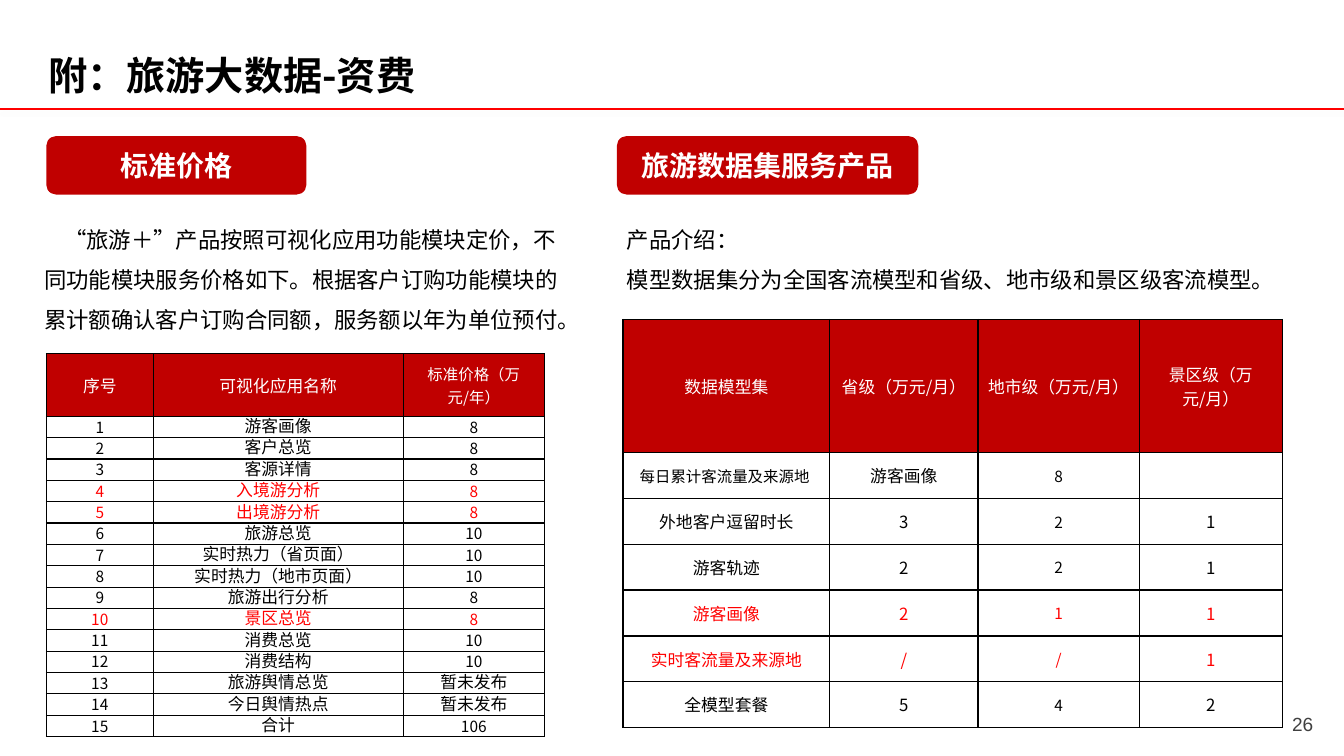
from lxml import etree
from pptx import Presentation
from pptx.dml.color import RGBColor
from pptx.enum.shapes import MSO_CONNECTOR, MSO_SHAPE
from pptx.enum.text import MSO_ANCHOR, MSO_AUTO_SIZE, PP_ALIGN
from pptx.oxml.ns import qn
from pptx.util import Inches, Pt

ROUNDED = MSO_SHAPE.ROUNDED_RECTANGLE
STRAIGHT = MSO_CONNECTOR.STRAIGHT
MIDDLE, TOP = MSO_ANCHOR.MIDDLE, MSO_ANCHOR.TOP
GROW = MSO_AUTO_SIZE.SHAPE_TO_FIT_TEXT
LEFT, CENTER = PP_ALIGN.LEFT, PP_ALIGN.CENTER

WIDTH, HEIGHT = 13.33, 7.5
FONT = "Noto Sans CJK SC"
COLORS = {"ink": "000000", "white": "FFFFFF", "brand": "C00000",
          "accent": "FF0000", "page": "404040"}

PRICE_HEAD = ["序号", "可视化应用名称", "标准价格（万元/年）"]
MODULES = [
    ("游客画像", "8"), ("客户总览", "8"), ("客源详情", "8"),
    ("入境游分析", "8"), ("出境游分析", "8"), ("旅游总览", "10"),
    ("实时热力（省页面）", "10"), ("实时热力（地市页面）", "10"),
    ("旅游出行分析", "8"), ("景区总览", "8"), ("消费总览", "10"),
    ("消费结构", "10"), ("旅游舆情总览", "暂未发布"),
    ("今日舆情热点", "暂未发布"), ("合计", "106"),
]
DATASETS = [
    ["数据模型集", "省级（万元/月）", "地市级（万元/月）", "景区级（万元/月）"],
    ["每日累计客流量及来源地 ", "游客画像", "8", ""],
    ["外地客户逗留时长", "3", "2", "1"],
    ["游客轨迹", "2", "2", "1"],
    ["游客画像", "2", "1", "1"],
    ["实时客流量及来源地", "/", "/", "1"],
    ["全模型套餐", "5", "4", "2"],
]


def col(n):
    return Inches(WIDTH * n / 100)


def row(n):
    return Inches(HEIGHT * n / 100)


def area(x, y, w, h):
    return col(x), row(y), col(w), row(h)


def rgb(name):
    return RGBColor.from_string(COLORS[name])


def write(tf, text, size=16, color="ink", bold=False, font=FONT, align=LEFT,
          spacing=None, indent=0):
    tf.word_wrap = True
    for i, line in enumerate(text.split("\n")):
        p = tf.add_paragraph() if i else tf.paragraphs[0]
        p.alignment = align
        if spacing:
            p.line_spacing = spacing
        if indent:
            p._p.get_or_add_pPr().set("indent", str(Inches(indent)))
        r = p.add_run()
        r.text = line
        r.font.name, r.font.size, r.font.bold = font, Pt(size), bold
        r.font.color.rgb = rgb(color)
        etree.SubElement(r._r.get_or_add_rPr(), qn("a:ea"), typeface=font)


def add_text(s, box, text, inset=None, grow=True, anchor=TOP, **fmt):
    tf = s.shapes.add_textbox(*box).text_frame
    write(tf, text, **fmt)
    tf.vertical_anchor = anchor
    if grow:
        tf.auto_size = GROW
    if inset is not None:
        tf.margin_left = tf.margin_right = Inches(inset)
        tf.margin_top = tf.margin_bottom = Inches(inset / 2)


def add_badge(s, box, text):
    sp = s.shapes.add_shape(ROUNDED, *box)
    sp.shadow.inherit = False
    sp.fill.solid()
    sp.fill.fore_color.rgb = rgb("brand")
    sp.line.fill.background()
    sp.text_frame.vertical_anchor = MIDDLE
    write(sp.text_frame, text, size=20, color="white", bold=True, align=CENTER)


def add_rule(s, y):
    line = s.shapes.add_connector(STRAIGHT, 0, row(y), col(100), row(y))
    line.line.color.rgb = rgb("accent")
    line.line.width = Pt(1)
    effects = etree.SubElement(line._element.spPr, qn("a:effectLst"))
    shadow = etree.SubElement(effects, qn("a:outerShdw"), blurRad=str(Pt(3.1)),
                              dist=str(Pt(1.6)), dir="5400000", rotWithShape="0")
    tint = etree.SubElement(shadow, qn("a:srgbClr"), val=COLORS["ink"])
    etree.SubElement(tint, qn("a:alpha"), val="38000")


def add_borders(cell):
    tcPr = cell._tc.get_or_add_tcPr()
    for side in ("lnL", "lnR", "lnT", "lnB"):
        ln = etree.SubElement(tcPr, qn("a:" + side), w=str(Pt(1)))
        fill = etree.SubElement(ln, qn("a:solidFill"))
        etree.SubElement(fill, qn("a:srgbClr"), val=COLORS["ink"])


def add_grid(s, box, data, widths, head, sizes, special, red_rows, spacing=None):
    table = s.shapes.add_table(len(data), len(widths), *box).table
    table.first_row = table.horz_banding = False
    for column, share in zip(table.columns, widths):
        column.width = int(box[2] * share / sum(widths))
    body = (box[3] - head) // (len(data) - 1)
    for i, values in enumerate(data):
        table.rows[i].height = body if i else head
        color = "accent" if i in red_rows else "ink" if i else "white"
        for j, text in enumerate(values):
            cell = table.cell(i, j)
            cell.margin_left = cell.margin_right = Inches(0.09)
            cell.margin_top = cell.margin_bottom = 0
            cell.vertical_anchor = MIDDLE
            add_borders(cell)
            if i:
                cell.fill.background()
            else:
                cell.fill.solid()
                cell.fill.fore_color.rgb = rgb("brand")
            if text:
                write(cell.text_frame, text, size=special.get(text, sizes[j]),
                      color=color, align=CENTER, spacing=spacing if i else None)


def main():
    prs = Presentation()
    prs.slide_width, prs.slide_height = Inches(WIDTH), Inches(HEIGHT)
    s = prs.slides.add_slide(prs.slide_layouts[6])

    add_rule(s, 14.4)
    add_text(s, area(95.05, 92.93, 3.75, 5.6), "26", inset=0.08, grow=False,
             anchor=MIDDLE, size=13.6, color="page", font="Arial", align=CENTER)
    add_text(s, area(3.6, 5.2, 41.19, 7.87), "附：旅游大数据-资费", inset=0,
             size=28, bold=True, spacing=1.25)

    add_badge(s, area(3.45, 18, 19.35, 7.73), "标准价格")
    add_text(s, area(2.55, 27.47, 40.66, 16.93),
             "“旅游＋”产品按照可视化应用功能模块定价，不同功能模块服务价格如下。"
             "根据客户订购功能模块的累计额确认客户订购合同额，服务额以年为单位预付。",
             spacing=1.5, indent=0.2)
    prices = [PRICE_HEAD] + [[str(n), *m] for n, m in enumerate(MODULES, 1)]
    add_grid(s, area(3.45, 46.8, 37.06, 50.67), prices, (1.06, 2.48, 1.4),
             row(8.27), (11, 12, 11), {"序号": 12, "暂未发布": 12},
             (4, 5, 10), spacing=Pt(15))

    add_badge(s, area(45.9, 18, 22.43, 7.73), "旅游数据集服务产品")
    add_text(s, area(45.9, 27.47, 50.04, 11.47),
             "产品介绍：\n模型数据集分为全国客流模型和省级、地市级和景区级客流模型。",
             spacing=1.5)
    add_grid(s, area(46.36, 42.27, 49.06, 54), DATASETS, (2.05, 1.47, 1.6, 1.42),
             row(17.6), (12, 12, 11, 12),
             {DATASETS[0][2]: 12, DATASETS[1][0]: 11}, (4, 5))

    prs.save("out.pptx")


if __name__ == "__main__":
    main()
